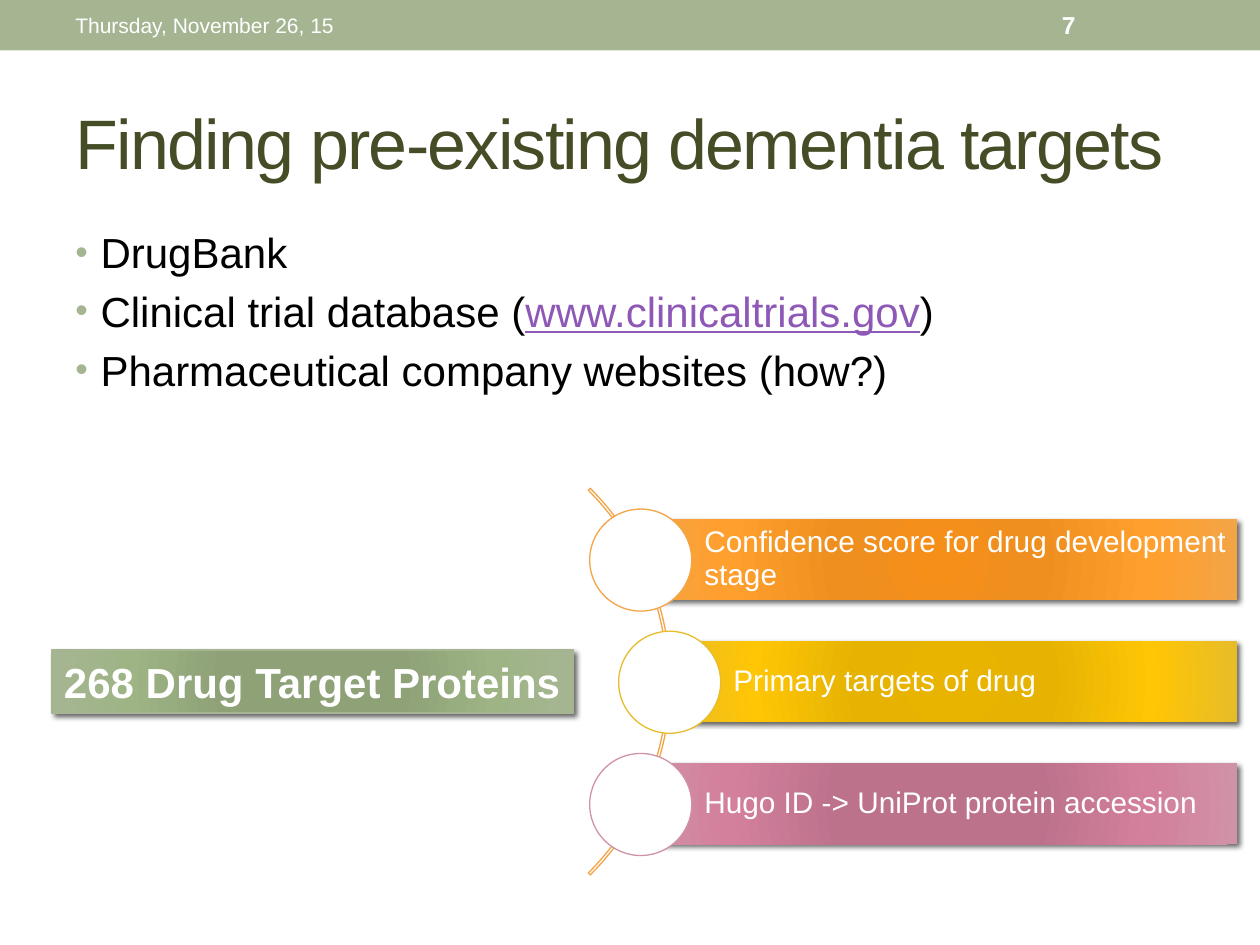
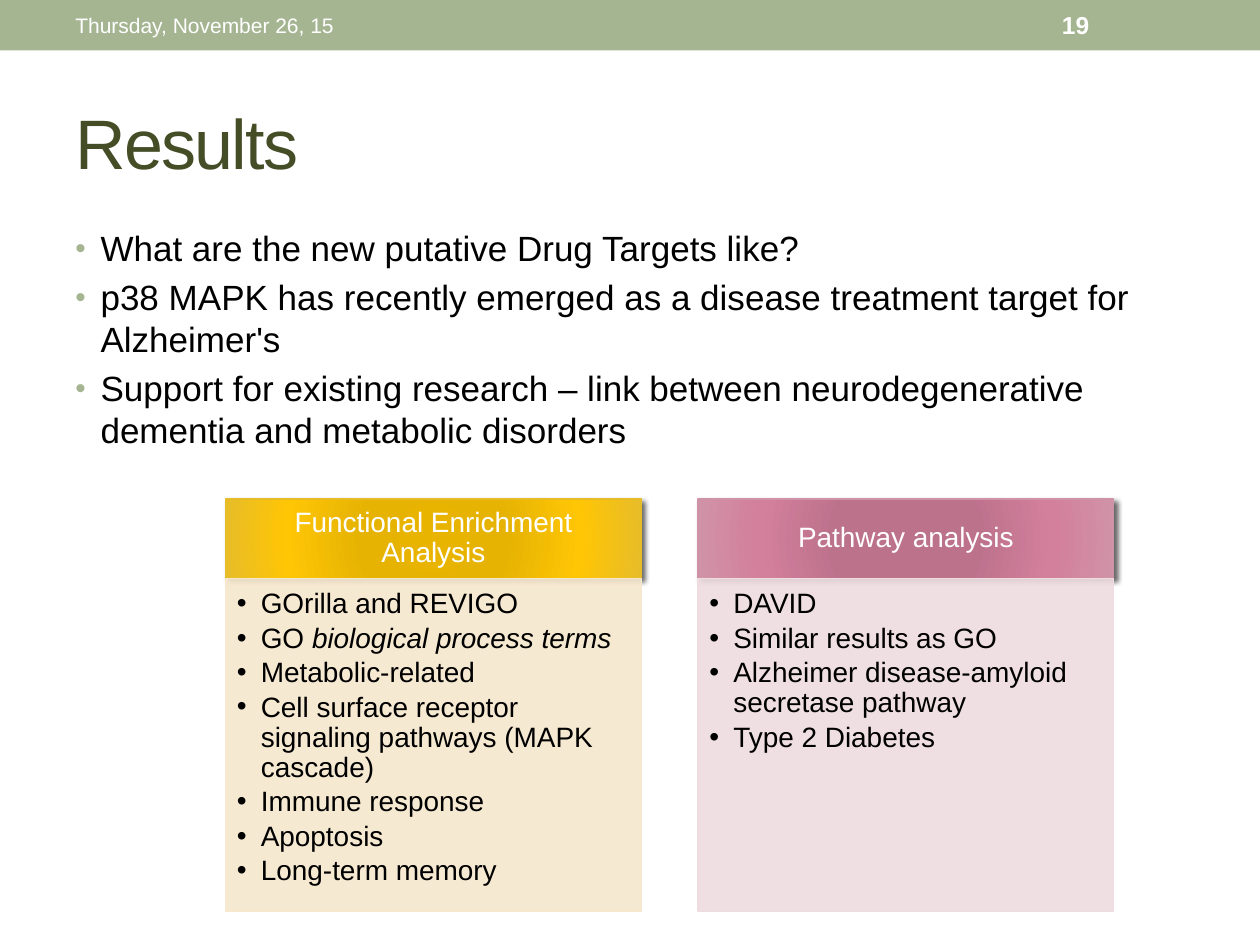
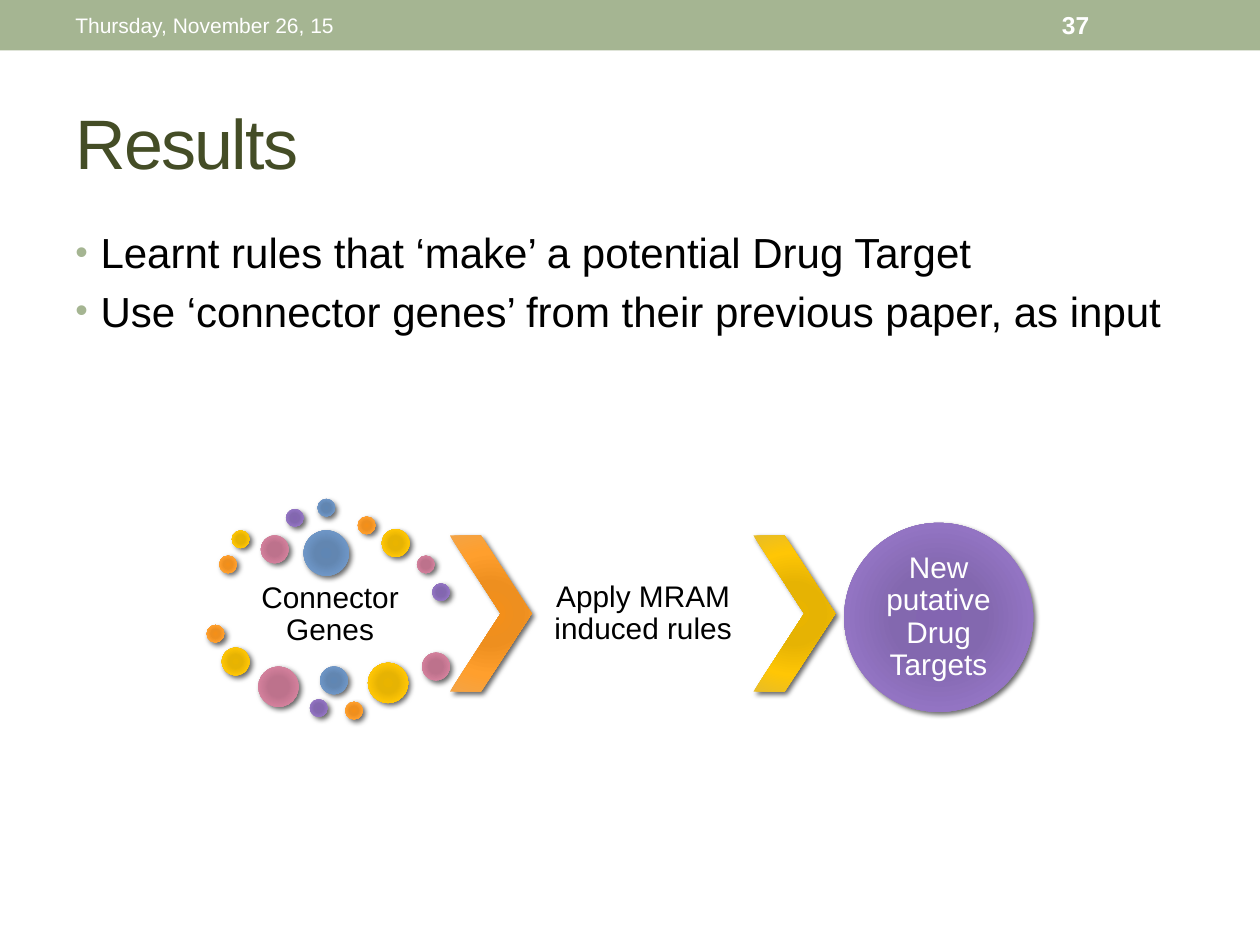
from dataclasses import dataclass
from itertools import cycle

from lxml.etree import SubElement
from pptx import Presentation
from pptx.dml.color import RGBColor
from pptx.enum.shapes import MSO_SHAPE
from pptx.enum.text import MSO_ANCHOR, PP_ALIGN
from pptx.oxml.ns import qn
from pptx.util import Inches, Pt


@dataclass(frozen=True)
class Theme:
    font: str = "Arial"
    white: str = "FFFFFF"
    black: str = "000000"
    sage: str = "A5B592"
    title_color: str = "444D26"
    link: str = "8E58B6"
    cream: str = "F6E7CD"
    blush: str = "EEDCE1"
    green_glow: tuple = ("8EA276", "8EA177", "9EB485", "A5B592")
    orange_glow: tuple = ("F58F18", "EE8F1F", "FF9F2D", "F3A447")
    yellow_glow: tuple = ("E9B400", "E6B303", "FFC605", "E7BC29")
    pink_glow: tuple = ("BF708B", "BD728C", "D3809C", "D092A7")
    violet_glow: tuple = ("8365B1", "8368AF", "9374C3", "9C85C0")
    blue_glow: tuple = ("5F86B4", "6286B1", "6E96C6", "809EC2")
    glow_stops: tuple = (0, 34, 70, 100)
    title_size: int = 40
    body_size: int = 24
    dense_size: int = 20
    diagram_size: int = 17
    panel_size: int = 16
    number_size: int = 14
    date_size: int = 12


THEME = Theme()


class Deck:
    def __init__(self, theme):
        self.theme = theme
        self.presentation = Presentation()
        self.presentation.slide_width = Inches(10)
        self.presentation.slide_height = Inches(7.5)
        self.slide = None

    def start_slide(self, title, number):
        theme = self.theme
        self.slide = self.presentation.slides.add_slide(self.presentation.slide_layouts[6])
        self.shape(MSO_SHAPE.RECTANGLE, (0, 0, 10, 0.4), theme.sage)
        heading = self.text((0.5, 0.58, 9, 1.08), [title], theme.title_size,
                            theme.title_color)
        title_run = heading.text_frame.paragraphs[0].runs[0]
        title_run.font._element.set("spc", "-100")
        self.text((0.5, 0.02, 3.17, 0.36), ["Thursday, November 26, 15"],
                  theme.date_size, theme.white)
        self.text((8.33, 0.02, 1.17, 0.36), [str(number)], theme.number_size,
                  theme.white, bold=True)

    def shape(self, kind, box, fill, line=None, alpha=None):
        shape = self.slide.shapes.add_shape(kind, *map(Inches, box))
        shape.shadow.inherit = False
        if fill is None:
            shape.fill.background()
        elif isinstance(fill, tuple):
            self.glow(shape, fill)
        else:
            shape.fill.solid()
            shape.fill.fore_color.rgb = RGBColor.from_string(fill)
            if alpha:
                color = shape._element.spPr.find(qn("a:solidFill"))[0]
                SubElement(color, qn("a:alpha"), val=str(alpha * 1000))
        if line:
            shape.line.color.rgb = RGBColor.from_string(line)
            shape.line.width = Pt(0.75)
        else:
            shape.line.fill.background()
        return shape

    def glow(self, shape, colors):
        shape.fill.background()
        properties = shape._element.spPr
        no_fill = properties.find(qn("a:noFill"))
        gradient = SubElement(properties, qn("a:gradFill"), rotWithShape="1")
        stops = SubElement(gradient, qn("a:gsLst"))
        for position, color in zip(self.theme.glow_stops, colors):
            stop = SubElement(stops, qn("a:gs"), pos=str(position * 1000))
            SubElement(stop, qn("a:srgbClr"), val=color)
        circle = SubElement(gradient, qn("a:path"), {"path": "circle"})
        SubElement(circle, qn("a:fillToRect"), dict.fromkeys("ltrb", "100000"))
        properties.replace(no_fill, gradient)
        shadow = SubElement(properties.find(qn("a:effectLst")), qn("a:outerShdw"),
                            blurRad=str(Pt(3)), dist=str(Pt(2)), dir=str(45 * 60000),
                            algn="br", rotWithShape="0")
        color = SubElement(shadow, qn("a:srgbClr"), val=self.theme.black)
        SubElement(color, qn("a:alpha"), val="60000")

    def text(self, box, lines, size, color, **style):
        holder = self.slide.shapes.add_textbox(*map(Inches, box))
        self.fill_text(holder, lines, size, color, **style)
        return holder

    def fill_text(self, holder, lines, size, color, bold=False, align=PP_ALIGN.LEFT,
                  anchor=MSO_ANCHOR.MIDDLE, insets=(0.1, 0.05, 0.1, 0.05), spacing=None,
                  before=0, after=0, indent=0, bullet=None, wrap=True):
        frame = holder.text_frame
        frame.word_wrap = wrap
        frame.vertical_anchor = anchor
        (frame.margin_left, frame.margin_top,
         frame.margin_right, frame.margin_bottom) = map(Inches, insets)
        for index, line in enumerate(lines):
            paragraph = frame.add_paragraph() if index else frame.paragraphs[0]
            paragraph.alignment = align
            if spacing:
                paragraph.line_spacing = spacing
            if before and index:
                paragraph.space_before = Pt(size * before)
            if after:
                paragraph.space_after = Pt(size * after)
            if indent:
                self.add_bullet(paragraph, indent, bullet)
            paragraph.font.name = self.theme.font
            paragraph.font.size = Pt(size)
            paragraph.font.bold = bold
            paragraph.font.color.rgb = RGBColor.from_string(color)
            for part in [line] if isinstance(line, str) else line:
                content, emphasis = (part, None) if isinstance(part, str) else part
                run = paragraph.add_run()
                run.text = content
                if emphasis == "italic":
                    run.font.italic = True
                elif emphasis == "link":
                    run.font.underline = True
                    run.font.color.rgb = RGBColor.from_string(self.theme.link)

    def add_bullet(self, paragraph, indent, color):
        properties = paragraph._p.get_or_add_pPr()
        properties.set("marL", str(Inches(indent)))
        properties.set("indent", str(-Inches(indent)))
        if color:
            SubElement(SubElement(properties, qn("a:buClr")), qn("a:srgbClr"), val=color)
            SubElement(properties, qn("a:buSzPct"), val="85000")
        SubElement(properties, qn("a:buFont"), typeface=self.theme.font)
        SubElement(properties, qn("a:buChar"), char="•")

    def body(self, height, lines, size):
        self.text((0.5, 1.75, 9, height), lines, size, self.theme.black,
                  anchor=MSO_ANCHOR.TOP, before=0.2, indent=0.2, bullet=self.theme.sage)

    def diagram_label(self, box, label):
        self.text(box, [label], self.theme.diagram_size, self.theme.black,
                  align=PP_ALIGN.CENTER, insets=(0.02,) * 4, spacing=0.9)

    def arc_row(self, left, top, label, colors):
        theme = self.theme
        bar = self.shape(MSO_SHAPE.RECTANGLE, (left, top, 9.82 - left, 0.64), colors)
        self.fill_text(bar, [label], theme.diagram_size, theme.white, spacing=0.9,
                       insets=(0.51, 0.05, 0.05, 0.05))
        self.shape(MSO_SHAPE.OVAL, (left - 0.4, top - 0.08, 0.81, 0.81),
                   theme.white, line=colors[-1])

    def panel(self, left, heading, lines, colors, tint):
        theme = self.theme
        header = self.shape(MSO_SHAPE.RECTANGLE, (left, 3.96, 3.3, 0.63), colors, colors[-1])
        self.fill_text(header, [heading], theme.panel_size, theme.white, spacing=0.9,
                       align=PP_ALIGN.CENTER, insets=(0.12, 0.07, 0.12, 0.07))
        content = self.shape(MSO_SHAPE.RECTANGLE, (left, 4.59, 3.3, 2.64), tint, tint, 90)
        self.fill_text(content, lines, theme.panel_size, theme.black, anchor=MSO_ANCHOR.TOP,
                       insets=(0.09, 0.09, 0.12, 0.14), spacing=0.9, after=0.15, indent=0.19)

    def chevron(self, left, colors):
        arrow = self.shape(MSO_SHAPE.CHEVRON, (left, 4.25, 0.65, 1.24), colors)
        arrow.adjustments[0] = 0.62


def add_targets_slide(deck):
    theme = deck.theme
    deck.start_slide("Finding pre-existing dementia targets", 7)
    deck.body(1.84, [
        "DrugBank",
        ["Clinical trial database (", ("www.clinicaltrials.gov", "link"), ")"],
        "Pharmaceutical company websites (how?)",
    ], theme.body_size)
    arc = deck.shape(MSO_SHAPE.BLOCK_ARC, (0.98, 3.24, 4.34, 4.34), None,
                     theme.orange_glow[-1])
    for index, value in enumerate((189, 27, 0.005)):
        arc.adjustments[index] = value
    rows = [
        (5.08, "Confidence score for drug development stage", theme.orange_glow),
        (5.31, "Primary targets of drug", theme.yellow_glow),
        (5.08, "Hugo ID -> UniProt protein accession", theme.pink_glow),
    ]
    for index, (left, label, colors) in enumerate(rows):
        deck.arc_row(left, 4.12 + 0.97 * index, label, colors)
    total = deck.shape(MSO_SHAPE.RECTANGLE, (0.41, 5.16, 4.14, 0.5),
                       theme.green_glow, theme.sage)
    deck.fill_text(total, ["268 Drug Target Proteins"], theme.body_size, theme.white,
                   bold=True, wrap=False)


def add_analysis_slide(deck):
    theme = deck.theme
    deck.start_slide("Results", 19)
    deck.body(4.28, [
        "What are the new putative Drug Targets like?",
        "p38 MAPK has recently emerged as a disease treatment target for Alzheimer's",
        "Support for existing research – link between neurodegenerative "
        "dementia and metabolic disorders",
    ], theme.dense_size)
    deck.panel(1.79, "Functional Enrichment Analysis", [
        "GOrilla and REVIGO",
        ["GO", (" biological process terms", "italic")],
        "Metabolic-related",
        "Cell surface receptor signaling pathways (MAPK cascade)",
        "Immune response",
        "Apoptosis",
        "Long-term memory",
    ], theme.yellow_glow, theme.cream)
    deck.panel(5.54, "Pathway analysis", [
        "DAVID",
        "Similar results as GO",
        "Alzheimer disease-amyloid secretase pathway",
        "Type 2 Diabetes",
    ], theme.pink_glow, theme.blush)


def add_rules_slide(deck):
    theme = deck.theme
    deck.start_slide("Results", 37)
    deck.body(5.33, [
        "Learnt rules that ‘make’ a potential Drug Target",
        "Use ‘connector genes’ from their previous paper, as input",
    ], theme.body_size)
    deck.diagram_label((1.74, 4.59, 1.76, 0.58), "Connector Genes")
    small, medium, large, largest = 0.14, 0.22, 0.32, 0.36
    gene_dots = [
        (1.74, 4.41, small), (1.84, 4.21, small), (2.07, 4.25, medium),
        (2.27, 4.04, small), (2.52, 3.96, small), (2.84, 4.1, small),
        (3.03, 4.2, medium), (3.31, 4.41, small), (3.43, 4.63, small),
        (2.41, 4.21, largest), (1.64, 4.96, small), (1.76, 5.14, medium),
        (2.05, 5.29, large), (2.46, 5.55, small), (2.54, 5.29, medium),
        (2.74, 5.57, small), (2.92, 5.26, large), (3.35, 5.18, medium),
    ]
    dot_colors = cycle((theme.orange_glow, theme.yellow_glow, theme.pink_glow,
                        theme.violet_glow, theme.blue_glow))
    for (left, top, diameter), colors in zip(gene_dots, dot_colors):
        deck.shape(MSO_SHAPE.OVAL, (left, top, diameter, diameter), colors)
    deck.chevron(3.57, theme.orange_glow)
    deck.diagram_label((4.22, 4.25, 1.77, 1.24), "Apply MRAM induced rules")
    deck.chevron(5.98, theme.yellow_glow)
    targets = deck.shape(MSO_SHAPE.OVAL, (6.7, 4.15, 1.5, 1.5), theme.violet_glow)
    deck.fill_text(targets, ["New putative Drug Targets"], theme.diagram_size, theme.white,
                   align=PP_ALIGN.CENTER, insets=(0,) * 4, spacing=0.9)


def main():
    deck = Deck(THEME)
    add_targets_slide(deck)
    add_analysis_slide(deck)
    add_rules_slide(deck)
    deck.presentation.save("out.pptx")


if __name__ == "__main__":
    main()
